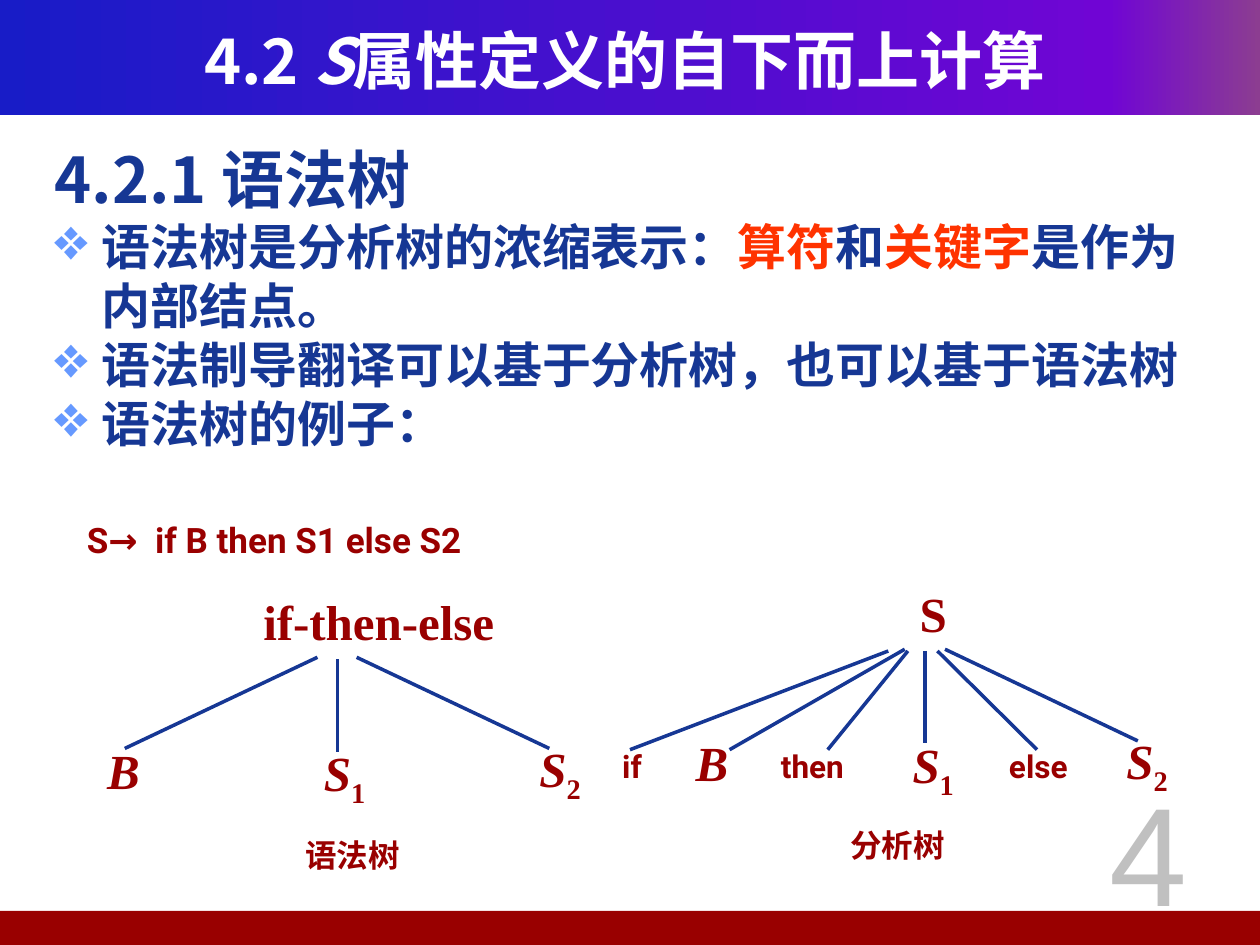
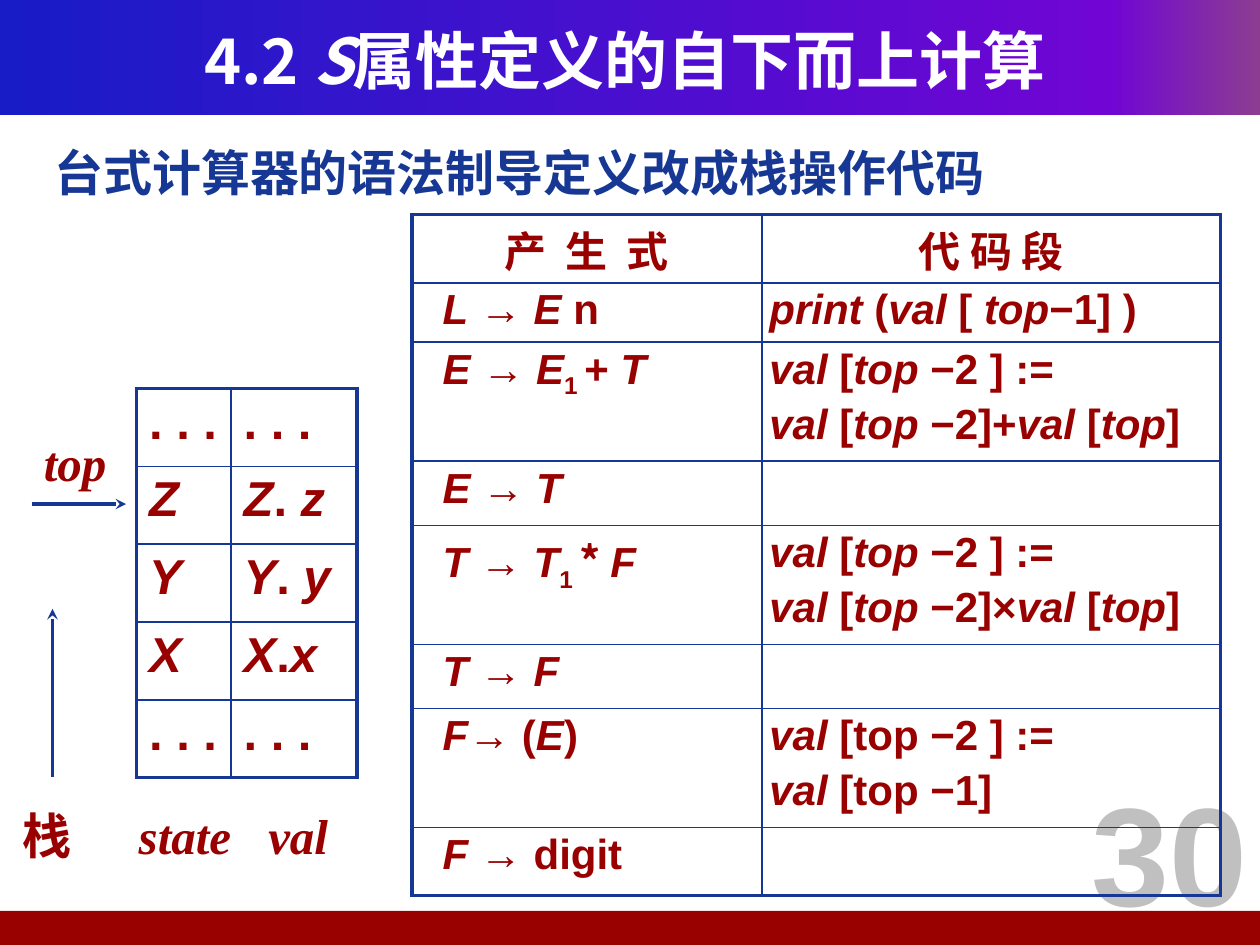
from dataclasses import dataclass, replace
from itertools import product
from typing import NamedTuple

from lxml.etree import SubElement
from pptx import Presentation
from pptx.dml.color import RGBColor
from pptx.enum.shapes import MSO_CONNECTOR, MSO_SHAPE
from pptx.enum.text import MSO_ANCHOR, PP_ALIGN
from pptx.oxml.ns import qn
from pptx.util import Pt

CJK = "Noto Sans CJK SC"


@dataclass(frozen=True)
class Face:
    size: float
    font: str
    color: str
    bold: bool = True
    slant: bool = False


@dataclass(frozen=True)
class Theme:
    navy: str = "163794"
    red: str = "990000"
    hot: str = "FF3300"
    bullet: str = "6699FF"
    sweep: tuple = ((0, "181CC7"), (88, "7005D4"), (100, "8C3D91"))
    title: Face = Face(36, CJK, "FFFFFF")
    head: Face = Face(36, CJK, navy)
    body: Face = Face(28, CJK, navy)
    rule: Face = Face(20, "Roboto", red)
    word: Face = Face(18, "Roboto", red)
    node: Face = Face(28, "Times New Roman", red)
    stack: Face = Face(28, "Arial", red)
    code: Face = Face(24, "Arial", red)
    label: Face = Face(24, CJK, red)
    number: Face = Face(80, "Arial", "C0C0C0")
    line: float = 2
    edge: float = 2.25
    grid: float = 1


THEME = Theme()


class Box(NamedTuple):
    left: float
    top: float
    width: float
    height: float

    def points(self) -> list:
        return [Pt(side) for side in self]


class Leaf(NamedTuple):
    """A child: its text and box, and the branch that leads to it."""
    text: str
    box: Box
    start: tuple
    end: tuple


class Tree(NamedTuple):
    root: str
    root_box: Box
    align: PP_ALIGN
    leaves: list
    name: str
    name_box: Box


class Grid(NamedTuple):
    left: float
    top: float
    cols: list
    rows: list
    cells: list
    face: Face


def rgb(color: str) -> RGBColor:
    return RGBColor.from_string(color)


def write_runs(para, text: str) -> None:
    """Marks: _slanted_, ~subscript~, ^highlight^, `CJK font`."""
    marks = dict.fromkeys("_~^`", False)
    part = ""
    for char in text + "\0":
        if char not in marks and char != "\0":
            part += char
            continue
        if part:
            run = para.add_run()
            run.text = part
            if marks["_"]:
                run.font.italic = True
            if marks["~"]:
                run._r.get_or_add_rPr().set("baseline", "-25000")
            if marks["^"]:
                run.font.color.rgb = rgb(THEME.hot)
            if marks["`"]:
                run.font.name = CJK
            part = ""
        if char in marks:
            marks[char] = not marks[char]


def write(para, text: str, face: Face, align=PP_ALIGN.LEFT, bullet: bool = False,
          tabs: tuple = (), track: float = 0) -> None:
    write_runs(para, text)
    para.alignment = align
    props = para._p.get_or_add_pPr()
    if bullet:
        props.set("marL", str(Pt(27)))
        props.set("indent", str(Pt(-27)))
        tint = SubElement(props, qn("a:buClr"))
        SubElement(tint, qn("a:srgbClr"), val=THEME.bullet)
        SubElement(props, qn("a:buSzPct"), val="120000")
        SubElement(props, qn("a:buChar"), char="❖")
    if tabs:
        stops = SubElement(props, qn("a:tabLst"))
        for stop in tabs:
            SubElement(stops, qn("a:tab"), pos=str(Pt(stop)), algn="l")
    font = para.font
    font.size, font.name = Pt(face.size), face.font
    font.bold, font.italic = face.bold, face.slant
    font.color.rgb = rgb(face.color)
    look = props.find(qn("a:defRPr"))
    SubElement(look, qn("a:ea"), typeface=CJK)
    if track:
        look.set("spc", str(round(track * 100)))


def add_frame(slide, box: Box, inset: tuple = (7.2, 3.6), wrap: bool = True,
              anchor=MSO_ANCHOR.TOP):
    frame = slide.shapes.add_textbox(*box.points()).text_frame
    frame.word_wrap, frame.vertical_anchor = wrap, anchor
    frame.margin_left = frame.margin_right = Pt(inset[0])
    frame.margin_top = frame.margin_bottom = Pt(inset[1])
    return frame


def add_text(slide, box: Box, text: str, face: Face, align=PP_ALIGN.LEFT,
             tabs: tuple = (), **frame) -> None:
    write(add_frame(slide, box, **frame).paragraphs[0], text, face, align, tabs=tabs)


def add_line(slide, start: tuple, end: tuple, arrow: bool = False) -> None:
    line = slide.shapes.add_connector(
        MSO_CONNECTOR.STRAIGHT, *[Pt(v) for v in (*start, *end)])
    line.line.color.rgb = rgb(THEME.navy)
    line.line.width = Pt(THEME.line)
    props = line._element.spPr
    if arrow:
        SubElement(props.find(qn("a:ln")), qn("a:tailEnd"), type="stealth")
    SubElement(props, qn("a:effectLst"))


def add_band(slide, box: Box):
    band = slide.shapes.add_shape(MSO_SHAPE.RECTANGLE, *box.points())
    band.shadow.inherit = False
    band.line.fill.background()
    return band


def start_slide(deck, number: str, align, bold: bool):
    slide = deck.slides.add_slide(deck.slide_layouts[6])
    top = add_band(slide, Box(0, 0, 720, 65.7))
    top.fill.gradient()
    top.fill.gradient_angle = 0
    stops = top._element.spPr.find(".//" + qn("a:gsLst"))
    stops.clear()
    for place, color in THEME.sweep:
        stop = SubElement(stops, qn("a:gs"), pos=str(place * 1000))
        SubElement(stop, qn("a:srgbClr"), val=color)
    foot = add_band(slide, Box(-3, 520.5, 723, 19.5))
    foot.fill.solid()
    foot.fill.fore_color.rgb = rgb(THEME.red)
    add_text(slide, Box(24, 12, 666, 44), "4.2 _S_属性定义的自下而上计算", THEME.title,
             PP_ALIGN.CENTER, anchor=MSO_ANCHOR.MIDDLE)
    add_text(slide, Box(592.6, 434.4, 127.4, 102), number,
             replace(THEME.number, bold=bold), align)
    return slide


def add_tree(slide, tree: Tree) -> None:
    tight = (1.44, 0.72)
    add_text(slide, tree.root_box, tree.root, THEME.node, tree.align, inset=tight)
    for leaf in tree.leaves:
        add_line(slide, leaf.start, leaf.end)
        if leaf.text.startswith("_"):
            add_text(slide, leaf.box, leaf.text, THEME.node, inset=tight)
        else:
            add_text(slide, leaf.box, leaf.text, THEME.word, wrap=False)
    add_text(slide, tree.name_box, tree.name, THEME.word)


def add_edges(cell, row: int, col: int, last_row: int, last_col: int) -> None:
    outer = {"L": col == 0, "R": col == last_col, "T": row == 0, "B": row == last_row}
    for side, edge in outer.items():
        width = Pt(THEME.edge if edge else THEME.grid)
        line = SubElement(cell._tc.get_or_add_tcPr(), qn("a:ln" + side), w=str(width))
        fill = SubElement(line, qn("a:solidFill"))
        SubElement(fill, qn("a:srgbClr"), val=THEME.navy)


def add_grid(slide, grid: Grid):
    box = Box(grid.left, grid.top, sum(grid.cols), sum(grid.rows))
    table = slide.shapes.add_table(
        len(grid.rows), len(grid.cols), *box.points()).table
    table.first_row = table.horz_banding = False
    for col, width in zip(table.columns, grid.cols):
        col.width = Pt(width)
    for row, height in zip(table.rows, grid.rows):
        row.height = Pt(height)
    for row, col in product(range(len(grid.rows)), range(len(grid.cols))):
        cell = table.cell(row, col)
        add_edges(cell, row, col, len(grid.rows) - 1, len(grid.cols) - 1)
        cell.fill.background()
        for index, text in enumerate(filter(None, grid.cells[row][col].split("\n"))):
            frame = cell.text_frame
            para = frame.add_paragraph() if index else frame.paragraphs[0]
            if index:
                para.space_before = Pt(4.8)
            write(para, text, grid.face)
    return table


def node(text: str, left: float, top: float, start: tuple, end: tuple) -> Leaf:
    return Leaf(text, Box(left, top, 35.3, 36.7), start, end)


def word(text: str, left: float, width: float, start: tuple, end: tuple) -> Leaf:
    return Leaf(text, Box(left, 423.4, width, 28.8), start, end)


def draw_trees(deck) -> None:
    slide = start_slide(deck, "4", PP_ALIGN.CENTER, False)
    frame = add_frame(slide, Box(24, 77, 678, 414))
    write(frame.paragraphs[0], "4.2.1 语法树", THEME.head)
    for text in ("语法树是分析树的浓缩表示：^算符^和^关键字^是作为内部结点。",
                 "语法制导翻译可以基于分析树，也可以基于语法树", "语法树的例子："):
        write(frame.add_paragraph(), text, THEME.body, bullet=True)
    add_text(slide, Box(42.5, 292.6, 289.4, 31), "S→\tif B then S1 else S2",
             THEME.rule, tabs=(39,))
    add_tree(slide, Tree("if-then-else", Box(149, 337, 142, 36.7), PP_ALIGN.LEFT, [
        node("_B_", 59.8, 422.6, (181.4, 375.6), (71.3, 427.7)),
        node("_S_~1~", 183.6, 423.4, (193, 376.8), (193, 429.6)),
        node("_S_~2~", 306.7, 421.2, (203.8, 375.6), (313.9, 427.7)),
    ], "语法树", Box(167.3, 474.2, 102, 28.8)))
    add_tree(slide, Tree("S", Box(513.4, 332.6, 39.6, 36.7), PP_ALIGN.CENTER, [
        word("if", 348.5, 26.6, (507.6, 372), (360, 428.4)),
        node("_B_", 396, 417.6, (517, 371), (416.9, 428.4)),
        word("then", 439.2, 55.4, (518.8, 372), (473, 428.4)),
        node("_S_~1~", 520, 419, (528.5, 372), (528.5, 424.8)),
        word("else", 569.5, 50.4, (535.7, 372), (592.6, 428.4)),
        node("_S_~2~", 642.2, 416.5, (540, 371), (650.2, 423.4)),
    ], "分析树", Box(478.8, 468.7, 102, 28.8)))


def draw_stack(deck) -> None:
    slide = start_slide(deck, "30", PP_ALIGN.RIGHT, True)
    add_text(slide, Box(24, 77.8, 678, 42), "台式计算器的语法制导定义改成栈操作代码", THEME.body)
    dots = (". . .", ". . .")
    add_grid(slide, Grid(78, 222, [54, 72], [44.5] * 5, [
        dots, ("_Z_", "_Z_. _z_"), ("_Y_", "_Y_. _y_"), ("_X_", "_X_._x_"), dots,
    ], THEME.stack))
    add_text(slide, Box(5.8, 456, 204, 42), "栈\t_state_\t_val_", THEME.node,
             tabs=(66.4, 140.4), anchor=MSO_ANCHOR.MIDDLE)
    add_text(slide, Box(25, 246, 48, 36), "top", replace(THEME.node, slant=True),
             inset=(0, 0), anchor=MSO_ANCHOR.MIDDLE)
    add_line(slide, (18, 288), (72, 288), arrow=True)
    add_line(slide, (30, 444), (30, 348), arrow=True)

    assign = "_val_ [_top_ −2 ] :=\n_val_ [_top_ −2]{}_val_ [_top_]"
    tall, short = 68, 36.7
    table = add_grid(slide, Grid(
        235.4, 122.6, [200, 262], [39, 34, tall, short, tall, short, tall, 39], [
            ("", ""),
            ("_L_ → _E_ n", "_print_ (_val_ [ _top_−1] )"),
            ("_E_ → _E_~1 ~+ _T_", assign.format("+")),
            ("_E_ → _T_", ""),
            ("_T_ → _T_~1 ~`* `_F_", assign.format("×")),
            ("_T_ → _F_", ""),
            ("_F_→ (_E_)", "_val_ [top −2 ] :=\n_val_ [top −1]"),
            ("_F_ → digit", ""),
        ], THEME.code))
    for cell in table.iter_cells():
        cell.margin_left = cell.margin_right = Pt(4.3)
        cell.margin_top = cell.margin_bottom = Pt(2.2)
    for row in range(1, len(table.rows)):
        table.cell(row, 0).margin_left = Pt(17.6)
    for col, (text, track) in enumerate((("产 生 式", 2.7), ("代 码 段", 0))):
        write(table.cell(0, col).text_frame.paragraphs[0], text, THEME.label,
              PP_ALIGN.CENTER, track=track)


def main() -> None:
    deck = Presentation()
    deck.slide_width, deck.slide_height = Pt(720), Pt(540)
    draw_trees(deck)
    draw_stack(deck)
    deck.save("out.pptx")


if __name__ == "__main__":
    main()
